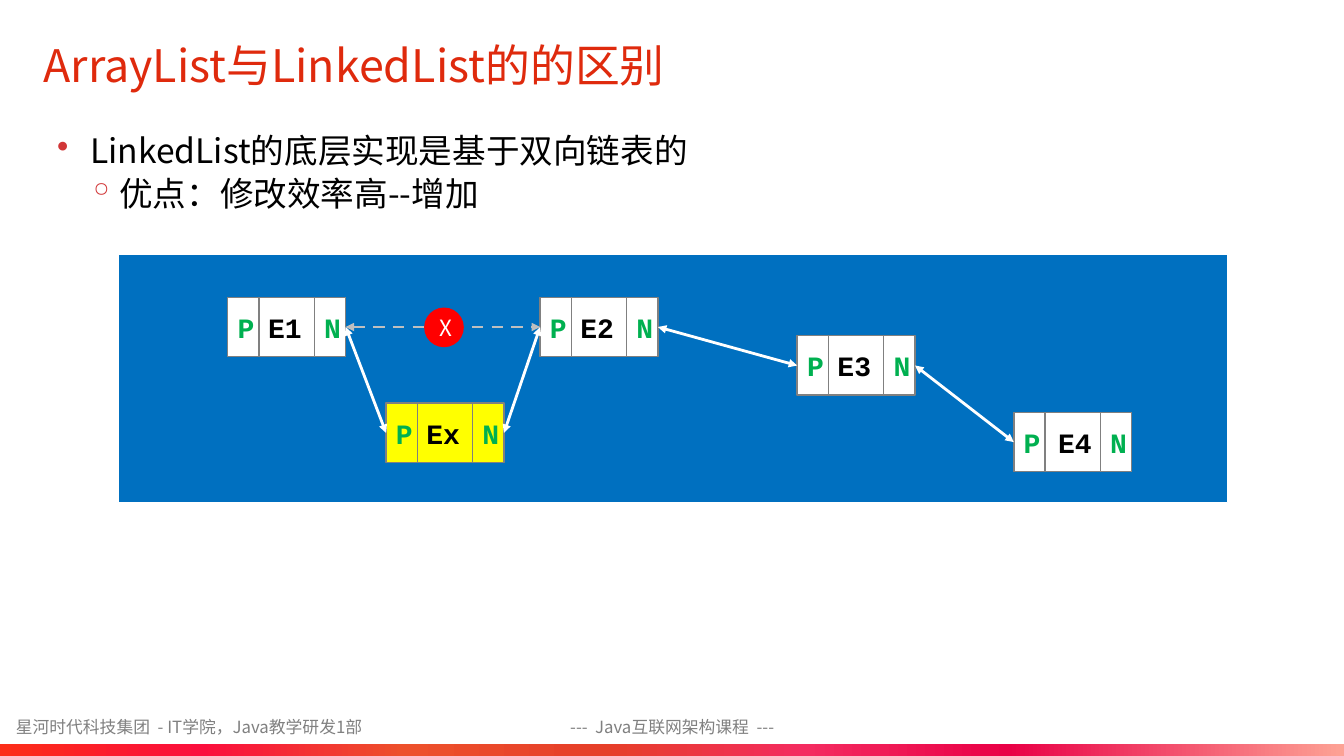
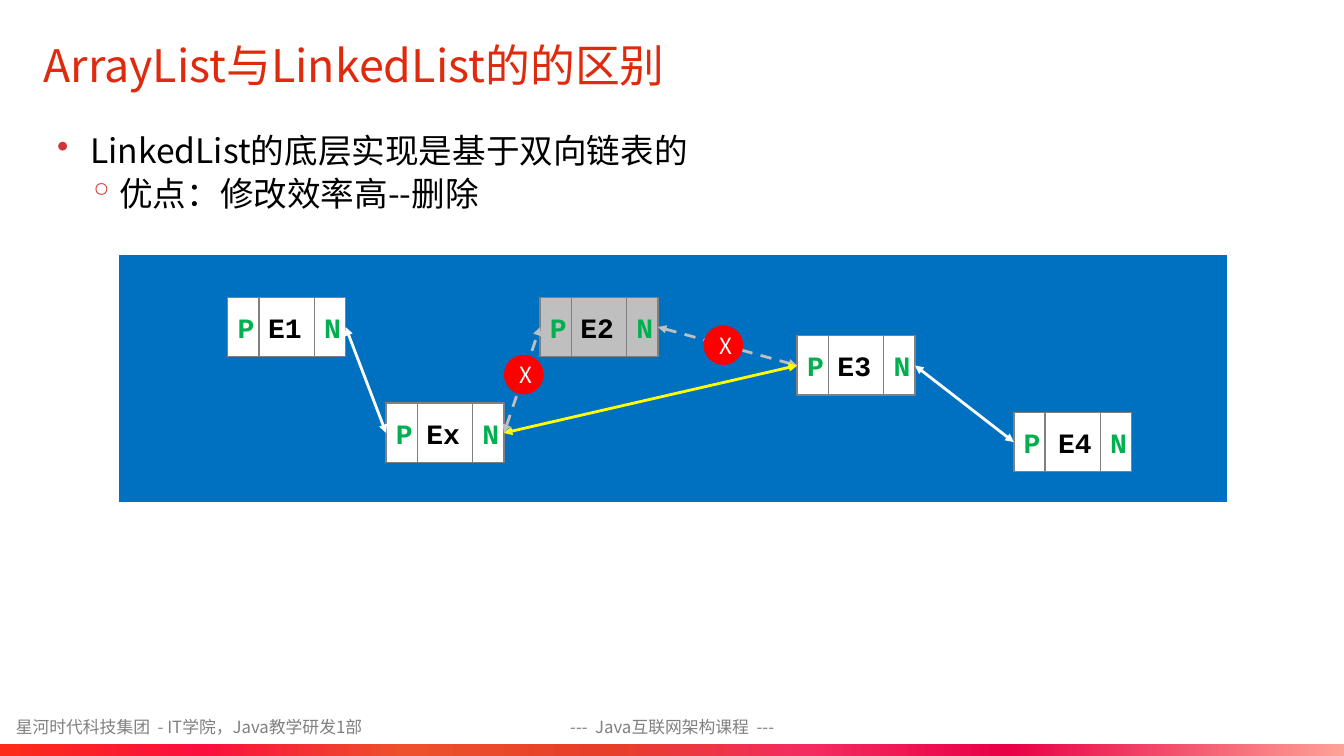
from pptx import Presentation
from pptx.dml.color import RGBColor
from pptx.enum import dml, shapes, text
from pptx.oxml import ns
from pptx.util import Cm, Pt
from lxml import etree

# Shared style
COLORS = {
    "title": "DF2A0D", "bullet": "D13637", "footer": "808080", "panel": "0070C0",
    "border": "808080", "pointer": "00B050", "cross": "FF0000", "black": "000000",
    "white": "FFFFFF", "grey": "BFBFBF", "yellow": "FFFF00",
}
BAND_STOPS = [(0, "FC2D18"), (15, "FB0F3D"), (30, "ED502B"), (45, "E63F29"),
              (60, "F42B60"), (75, "E90046"), (100, "FDA295")]
SANS, MONO = "Noto Sans CJK SC", "Courier New"
RECT, OVAL = shapes.MSO_SHAPE.RECTANGLE, shapes.MSO_SHAPE.OVAL
LEFT, CENTER = text.PP_ALIGN.LEFT, text.PP_ALIGN.CENTER

# Content, lengths in cm
TITLE = "ArrayList与LinkedList的的区别"
LEAD = "LinkedList的底层实现是基于双向链表的"
FOOTERS = [
    ("星河时代科技集团  - IT学院，Java教学研发1部", (0.15, 17.91, 11.23, 0.79), LEFT),
    ("---  Java互联网架构课程  ---", (12.57, 17.91, 8.74, 0.81), CENTER),
]
# Node: left, top, offset of the middle cell
NODES = {
    "E1": (5.74, 7.49, 0.69),
    "E2": (13.61, 7.49, 0.69),
    "E3": (20.09, 8.46, 0.69),
    "E4": (25.55, 10.39, 0.79),
    "Ex": (9.73, 10.16, 0.69),
}
CELL_W, CELL_H, POINTER_W, NEXT_X = 1.5, 1.5, 0.79, 2.18
CROSS_D = 1.0
# Link: from node, to node, colour, dashed; crosses are centre points
SLIDES = [
    {"point": "优点：修改效率高--增加",
     "fills": {"Ex": "yellow"},
     "links": [("E1", "E2", "grey", True), ("E1", "Ex", "white", False),
               ("Ex", "E2", "white", False), ("E2", "E3", "white", False),
               ("E3", "E4", "white", False)],
     "crosses": [(11.19, 8.25)]},
    {"point": "优点：修改效率高--删除",
     "fills": {"E2": "grey"},
     "links": [("E1", "Ex", "white", False), ("Ex", "E2", "grey", True),
               ("E2", "E3", "grey", True), ("Ex", "E3", "yellow", False),
               ("E3", "E4", "white", False)],
     "crosses": [(13.2, 9.44), (18.23, 8.7)]},
]


def rgb(name):
    return RGBColor.from_string(COLORS[name])


def box(values):
    return [Cm(v) for v in values]


def style(p, size, color, font=SANS, bold=False, align=LEFT):
    p.alignment = align
    for r in p.runs:
        r.font.size, r.font.bold, r.font.name = Pt(size), bold, font
        r.font.color.rgb = rgb(color)
        etree.SubElement(r.font._element, ns.qn("a:ea"), typeface=font)


def add_block(s, kind, place, fill, border=None):
    sp = s.shapes.add_shape(kind, *box(place))
    sp.shadow.inherit = False
    sp.fill.solid()
    sp.fill.fore_color.rgb = rgb(fill)
    if border:
        sp.line.color.rgb, sp.line.width = rgb(border), Pt(1)
    else:
        sp.line.fill.background()
    return sp


def add_label(sp, label, size, color, font, bold):
    tf = sp.text_frame
    tf.text = label
    tf.vertical_anchor = text.MSO_ANCHOR.MIDDLE
    style(tf.paragraphs[0], size, color, font, bold, CENTER)


# Title, footers and gradient band
def add_frame(s):
    for label, place, align in FOOTERS:
        tf = s.shapes.add_textbox(*box(place)).text_frame
        tf.word_wrap, tf.vertical_anchor = True, text.MSO_ANCHOR.MIDDLE
        tf.text = label
        style(tf.paragraphs[0], 12, "footer", align=align)

    band = add_block(s, RECT, (0, 18.75, 33.87, 0.3), "cross")
    band.fill.gradient()
    band.fill.gradient_angle = 0
    stops = band.element.spPr.find(".//" + ns.qn("a:gsLst"))
    for old in list(stops):
        stops.remove(old)
    for percent, color in BAND_STOPS:
        gs = etree.SubElement(stops, ns.qn("a:gs"), pos=str(percent * 1000))
        etree.SubElement(gs, ns.qn("a:srgbClr"), val=color)

    title = s.shapes.title
    title.left, title.top, title.width, title.height = box((0.84, 0.74, 27, 1.8))
    tf = title.text_frame
    tf.text = TITLE
    tf.auto_size, tf.vertical_anchor = text.MSO_AUTO_SIZE.NONE, text.MSO_ANCHOR.MIDDLE
    style(tf.paragraphs[0], 32, "title")


def add_bullets(s, point):
    tf = s.shapes.add_textbox(*box((1.19, 3.15, 31.5, 2.95))).text_frame
    tf.word_wrap = True
    tf.text = LEAD
    tf.add_paragraph().text = point
    levels = [("•", 0.84, 0.84, 0), ("◦", 1.57, 0.79, 2)]
    for level, (p, (mark, margin, hang, before)) in enumerate(zip(tf.paragraphs, levels)):
        style(p, 24, "black", align=text.PP_ALIGN.JUSTIFY)
        p.level, p.space_before = level, Pt(before)
        pPr = p._p.get_or_add_pPr()
        pPr.set("marL", str(Cm(margin)))
        pPr.set("indent", str(-Cm(hang)))
        color = etree.SubElement(pPr, ns.qn("a:buClr"))
        etree.SubElement(color, ns.qn("a:srgbClr"), val=COLORS["bullet"])
        etree.SubElement(pPr, ns.qn("a:buChar"), char=mark)


# Linked list: returns the previous and next cells of a node
def add_node(s, name, fill):
    x, y, middle = NODES[name]
    cells = {}
    for label, dx, width, color in [(name, middle, CELL_W, "black"),
                                    ("N", NEXT_X, POINTER_W, "pointer"),
                                    ("P", 0, POINTER_W, "pointer")]:
        sp = add_block(s, RECT, (x + dx, y, width, CELL_H), fill, "border")
        add_label(sp, label, 20, color, MONO, True)
        cells[label] = sp
    return cells


def add_link(s, start, end, color, dashed):
    c = s.shapes.add_connector(shapes.MSO_CONNECTOR.STRAIGHT, 0, 0, 0, 0)
    c.begin_connect(start, 3)
    c.end_connect(end, 1)
    c.line.color.rgb, c.line.width = rgb(color), Pt(2)
    if dashed:
        c.line.dash_style = dml.MSO_LINE.DASH
    spPr = c.element.spPr
    for tag in ("a:headEnd", "a:tailEnd"):
        etree.SubElement(spPr.find(ns.qn("a:ln")), ns.qn(tag), type="triangle")
    etree.SubElement(spPr, ns.qn("a:effectLst"))


def add_diagram(s, data):
    add_block(s, RECT, (2.97, 6.4, 27.97, 6.27), "panel", "white")
    nodes = {n: add_node(s, n, data["fills"].get(n, "white")) for n in NODES}
    for start, end, color, dashed in data["links"]:
        add_link(s, nodes[start]["N"], nodes[end]["P"], color, dashed)
    for x, y in data["crosses"]:
        place = (x - CROSS_D / 2, y - CROSS_D / 2, CROSS_D, CROSS_D)
        add_label(add_block(s, OVAL, place, "cross"), "X", 16, "white", SANS, False)


def main():
    prs = Presentation()
    prs.slide_width, prs.slide_height = Cm(33.87), Cm(19.05)
    for data in SLIDES:
        s = prs.slides.add_slide(prs.slide_layouts[5])
        add_frame(s)
        add_bullets(s, data["point"])
        add_diagram(s, data)
    prs.save("out.pptx")


if __name__ == "__main__":
    main()
